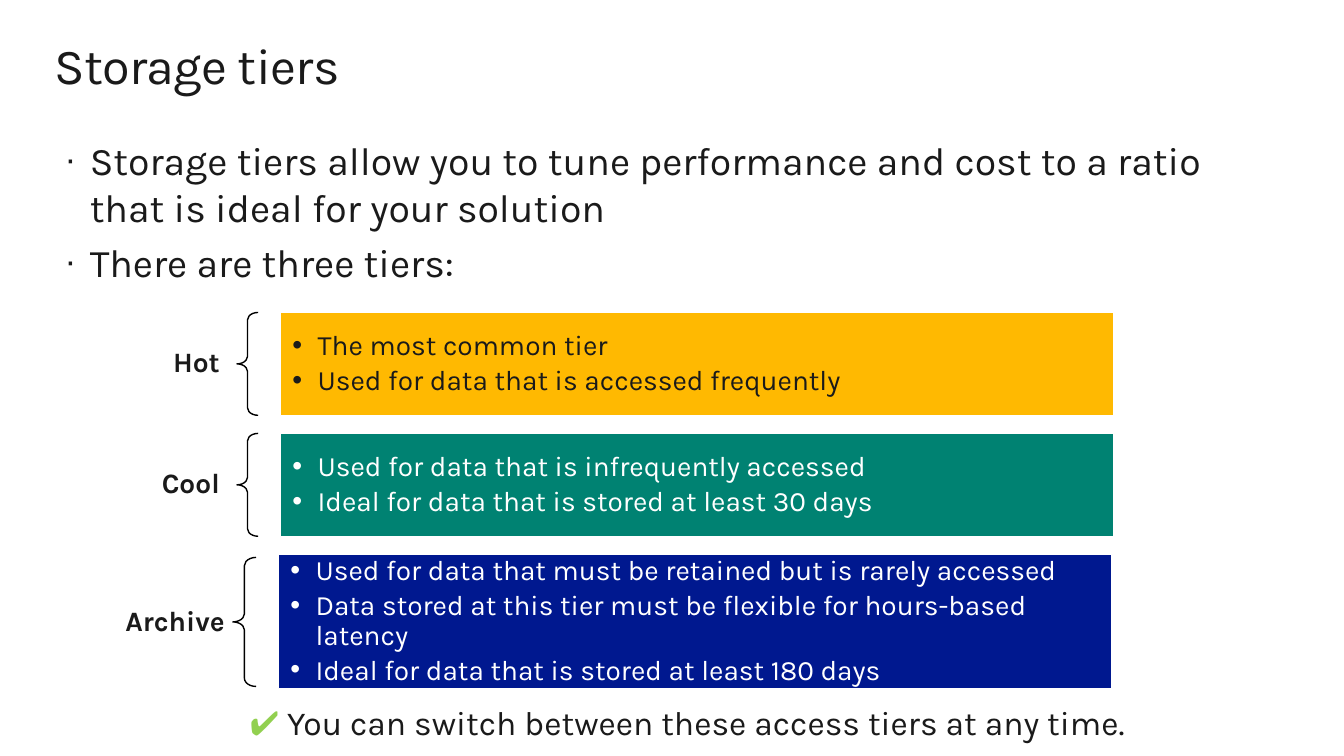
import pptx
import pptx.util
import pptx.dml.color
import pptx.enum.shapes
import pptx.enum.text
import pptx.oxml.ns
from lxml import etree

Inches, Pt = pptx.util.Inches, pptx.util.Pt
RGBColor = pptx.dml.color.RGBColor
SHAPE = pptx.enum.shapes.MSO_SHAPE
ALIGN = pptx.enum.text.PP_ALIGN
ANCHOR = pptx.enum.text.MSO_ANCHOR
qn = pptx.oxml.ns.qn

INK = RGBColor(0x1A, 0x1A, 0x1A)
BLACK = RGBColor(0, 0, 0)
WHITE = RGBColor(0xFF, 0xFF, 0xFF)
GOLD = RGBColor(0xFF, 0xB9, 0x01)
TEAL = RGBColor(0x00, 0x82, 0x72)
NAVY = RGBColor(0x00, 0x18, 0x8F)
GREEN = RGBColor(0x92, 0xD0, 0x50)
FONT = "Karla"

# Content
TITLE = "Storage tiers"
INTRO = [
    "Storage tiers allow you to tune performance and cost to a ratio "
    "that is ideal for your solution",
    "There are three tiers:",
]
# name, fill, text colour, label box, brace box, panel box, points
TIERS = [
    ("Hot", GOLD, INK, (1.06, 3.1, 1.28, 1.02), (2.35, 3.1, 0.21, 1.02),
     (2.78, 3.1, 8.27, 1.02),
     ["The most common tier",
      "Used for data that is accessed frequently"]),
    ("Cool", TEAL, WHITE, (1.06, 4.3, 1.28, 1.02), (2.35, 4.3, 0.21, 1.02),
     (2.78, 4.3, 8.27, 1.02),
     ["Used for data that is infrequently accessed",
      "Ideal for data that is stored at least 30 days"]),
    ("Archive", NAVY, WHITE, (0.69, 5.66, 1.7, 1.02), (2.31, 5.53, 0.23, 1.28),
     (2.76, 5.5, 8.27, 1.33),
     ["Used for data that must be retained but is rarely accessed",
      "Data stored at this tier must be flexible for hours-based latency",
      "Ideal for data that is stored at least 180 days"]),
]
NOTE = [("✔️ ", GREEN),
        ("You can switch between these access tiers at any time.", INK)]


def place(box):
    return [Inches(n) for n in box]


def style(run, size, color, bold=False):
    run.font.name = FONT
    run.font.size = Pt(size)
    run.font.color.rgb = color
    run.font.bold = bold


def frame(shape, pads, anchor):
    text = shape.text_frame
    text.word_wrap = True
    text.vertical_anchor = anchor
    (text.margin_left, text.margin_top,
     text.margin_right, text.margin_bottom) = place(pads)
    return text


def bullet(para, mark, scale=100):
    props = para._p.get_or_add_pPr()
    props.set("marL", str(Inches(0.25)))
    props.set("indent", str(-Inches(0.25)))
    etree.SubElement(props, qn("a:buSzPct")).set("val", str(scale * 1000))
    etree.SubElement(props, qn("a:buFont")).set("typeface", "Arial")
    etree.SubElement(props, qn("a:buChar")).set("char", mark)


def write(text, lines, size, color, bold=False):
    text.text = "\n".join(lines)
    for para in text.paragraphs:
        para.alignment = ALIGN.LEFT
        for run in para.runs:
            style(run, size, color, bold)
    return text.paragraphs


deck = pptx.Presentation()
deck.slide_width, deck.slide_height = Inches(13.33), Inches(7.5)
slide = deck.slides.add_slide(deck.slide_layouts[5])
shapes = slide.shapes

# Title
title = shapes.title
title.left, title.top, title.width, title.height = place((0.54, 0.34, 12.05, 0.61))
head = write(frame(title, (0, 0, 0, 0), ANCHOR.TOP), [TITLE], 36, INK)[0]
head.runs[0].font._element.set("spc", "-50")

# Introduction
intro = shapes.add_textbox(*place((0.64, 1.35, 12.05, 2.52)))
for i, para in enumerate(
        write(frame(intro, (0, 0, 0, 0), ANCHOR.TOP), INTRO, 28, INK)):
    bullet(para, "·", 90)
    para.space_before = Pt(5.6 if i else 0)

# Tiers: label, brace and panel
for name, fill, color, label, brace, panel, points in TIERS:
    tag = shapes.add_textbox(*place(label))
    para = write(frame(tag, (0.16, 0.06, 0.16, 0.06), ANCHOR.MIDDLE),
                 [name], 20, INK, True)[0]
    para.alignment = ALIGN.RIGHT
    para.line_spacing = 0.9

    curl = shapes.add_shape(SHAPE.LEFT_BRACE, *place(brace))
    curl.shadow.inherit = False
    curl.adjustments[0] = 0.35
    curl.fill.background()
    curl.line.color.rgb = BLACK
    curl.line.width = Pt(1)

    card = shapes.add_shape(SHAPE.RECTANGLE, *place(panel))
    card.shadow.inherit = False
    card.fill.solid()
    card.fill.fore_color.rgb = fill
    card.line.color.rgb = WHITE
    card.line.width = Pt(0.85)
    for para in write(frame(card, (0.12, 0.04, 0.04, 0.04), ANCHOR.MIDDLE),
                      points, 20, color):
        bullet(para, "•")
        para.line_spacing = 0.9
        para.space_after = Pt(3)

# Closing note
note = shapes.add_textbox(*place((2.38, 6.91, 10.9, 0.5)))
para = frame(note, (0.1, 0.05, 0.1, 0.05), ANCHOR.TOP).paragraphs[0]
for words, color in NOTE:
    run = para.add_run()
    run.text = words
    style(run, 24, color)

deck.save("out.pptx")
